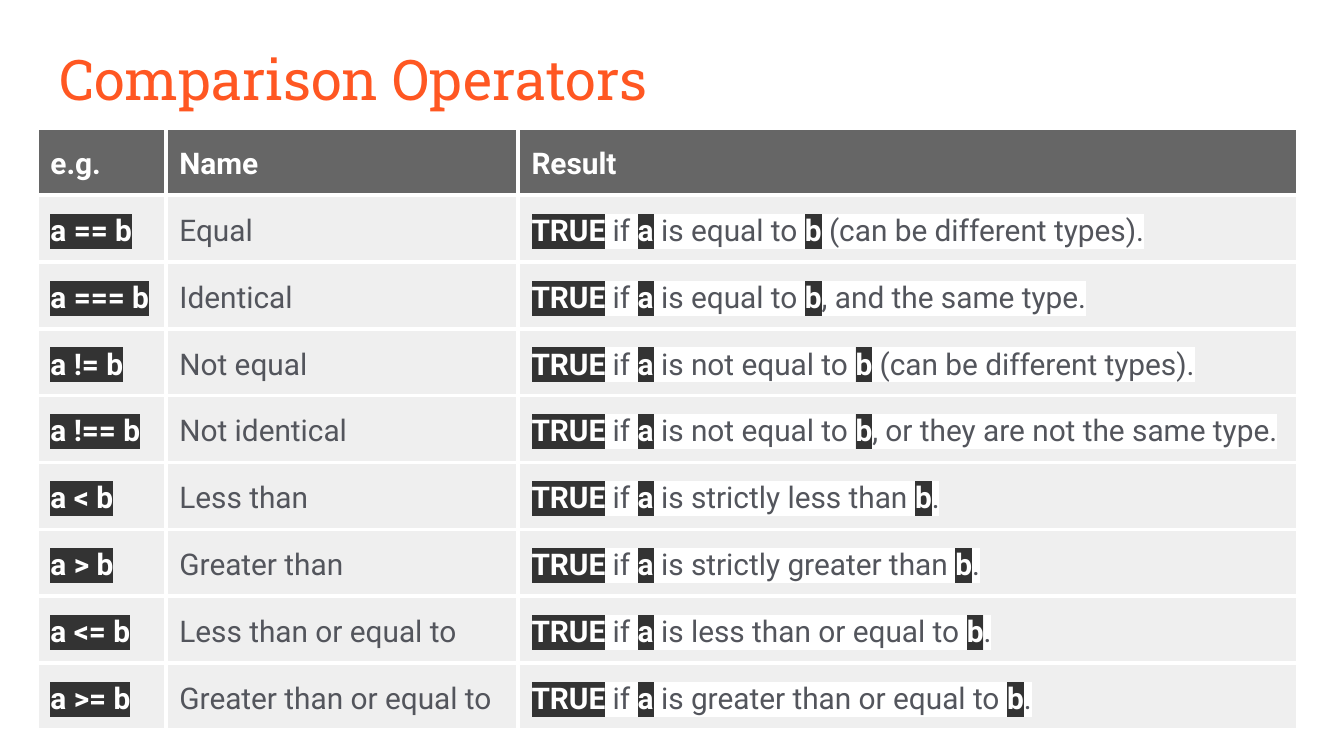
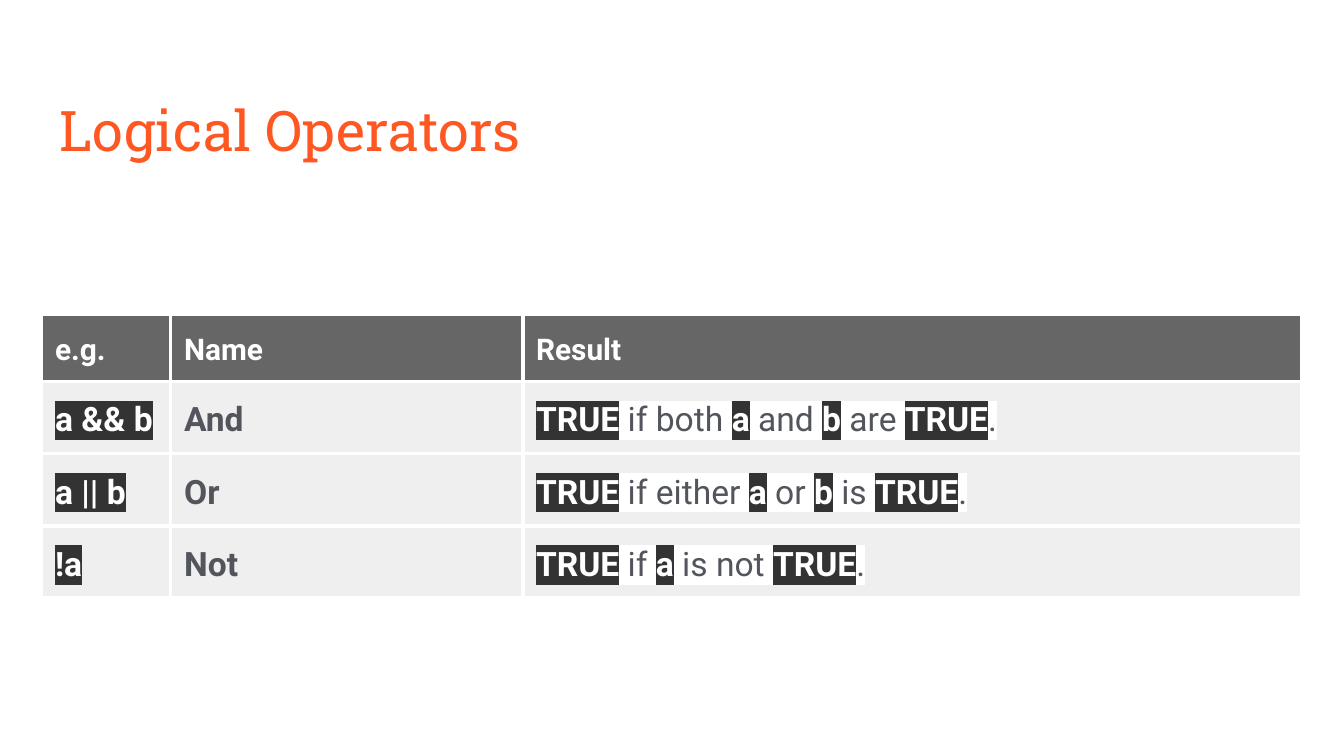
from lxml.etree import SubElement
from pptx import Presentation
from pptx.dml.color import RGBColor
from pptx.enum.text import MSO_ANCHOR as ANCHOR, MSO_AUTO_SIZE as AUTOSIZE, PP_ALIGN as ALIGN
from pptx.oxml import parse_xml
from pptx.oxml.ns import nsdecls, qn
from pptx.util import Pt

# Shared look
PX = 4572  # 200 px to the inch
ORANGE = RGBColor(0xFF, 0x57, 0x22)
WHITE = RGBColor(0xFF, 0xFF, 0xFF)
HEADER = RGBColor(0x66, 0x66, 0x66)
ROW = RGBColor(0xEF, 0xEF, 0xEF)
BODY = RGBColor(0x53, 0x55, 0x5C)
CODE = RGBColor(0x33, 0x33, 0x33)
TITLE_FONT, BODY_FONT = "Roboto Slab", "Roboto"
COLS, ROW_H, INSET, BORDER = (192, 524, 1160), 84, 20, Pt(2.25)

# Backticks enclose highlighted code
HEADINGS = ("e.g.", "Name", "Result")
COMPARISONS = [
    ("`a == b`", "Equal", "`TRUE` if `a` is equal to `b` (can be different types)."),
    ("`a === b`", "Identical", "`TRUE` if `a` is equal to `b`, and the same type."),
    ("`a != b`", "Not equal", "`TRUE` if `a` is not equal to `b` (can be different types)."),
    ("`a !== b`", "Not identical",
     "`TRUE` if `a` is not equal to `b`, or they are not the same type."),
    ("`a < b`", "Less than", "`TRUE` if `a` is strictly less than `b`."),
    ("`a > b`", "Greater than", "`TRUE` if `a` is strictly greater than `b`."),
    ("`a <= b`", "Less than or equal to", "`TRUE` if `a` is less than or equal to `b`."),
    ("`a >= b`", "Greater than or equal to",
     "`TRUE` if `a` is greater than or equal to `b`."),
]
LOGIC = [
    ("`a && b`", "And", "`TRUE` if both `a` and `b` are `TRUE`."),
    ("`a || b`", "Or", "`TRUE` if either `a` or `b` is `TRUE`."),
    ("`!a`", "Not", "`TRUE` if `a` is not `TRUE`."),
]

# Title, title top, table left, table top, body size, bold names, rows
SLIDES = [
    ("Comparison Operators", 46, 55, 191, 16, False, COMPARISONS),
    ("Logical Operators", 122, 62, 468, 18, True, LOGIC),
]


def add_run(p, text, font, size, color, bold=False, highlight=None):
    r = p.add_run()
    r.text = text
    r.font.size, r.font.bold = Pt(size), bold
    r.font.color.rgb = color
    if highlight is not None:
        hl = SubElement(r.font._element, qn("a:highlight"))
        SubElement(hl, qn("a:srgbClr")).set("val", str(highlight))
    r.font.name = font


def style_cell(cell, fill):
    cell.fill.solid()
    cell.fill.fore_color.rgb = fill
    cell.vertical_anchor = ANCHOR.MIDDLE
    cell.margin_left = cell.margin_top = cell.margin_bottom = INSET * PX
    cell.margin_right = 18 * PX
    tcPr = cell._tc.get_or_add_tcPr()
    for i, side in enumerate(("lnL", "lnR", "lnT", "lnB")):
        tcPr.insert(i, parse_xml(
            f'<a:{side} {nsdecls("a")} w="{BORDER}"><a:solidFill>'
            f'<a:srgbClr val="{WHITE}"/></a:solidFill></a:{side}>'))


prs = Presentation()
prs.slide_width, prs.slide_height = 2000 * PX, 1125 * PX

for title, title_top, left, top, size, bold_names, rows in SLIDES:
    s = prs.slides.add_slide(prs.slide_layouts[5])
    s.background.fill.solid()
    s.background.fill.fore_color.rgb = WHITE

    # Title
    sp = s.shapes.title
    sp.left, sp.top, sp.width, sp.height = 68 * PX, title_top * PX, 1864 * PX, 126 * PX
    tf = sp.text_frame
    tf.auto_size, tf.vertical_anchor, tf.word_wrap = AUTOSIZE.NONE, ANCHOR.TOP, True
    tf.margin_left = tf.margin_right = tf.margin_top = tf.margin_bottom = INSET * PX
    p = tf.paragraphs[0]
    p.alignment = ALIGN.LEFT
    add_run(p, title, TITLE_FONT, 30, ORANGE)

    # Operator table
    grid = [HEADINGS] + rows
    table = s.shapes.add_table(len(grid), len(COLS), left * PX, top * PX,
                               sum(COLS) * PX, len(grid) * ROW_H * PX).table
    for column, width in zip(table.columns, COLS):
        column.width = width * PX
    for i, row in enumerate(grid):
        for j, text in enumerate(row):
            cell = table.cell(i, j)
            style_cell(cell, ROW if i else HEADER)
            p = cell.text_frame.paragraphs[0]
            p.line_spacing = 1.15
            if i == 0:
                add_run(p, text, BODY_FONT, 16, WHITE, True)
                continue
            for k, part in enumerate(text.split("`")):
                if part and k % 2:
                    add_run(p, part, BODY_FONT, size, WHITE, True, CODE)
                elif part and j == 1:
                    add_run(p, part, BODY_FONT, size, BODY, bold_names)
                elif part:
                    add_run(p, part, BODY_FONT, size, BODY, False, WHITE)

prs.save("out.pptx")
